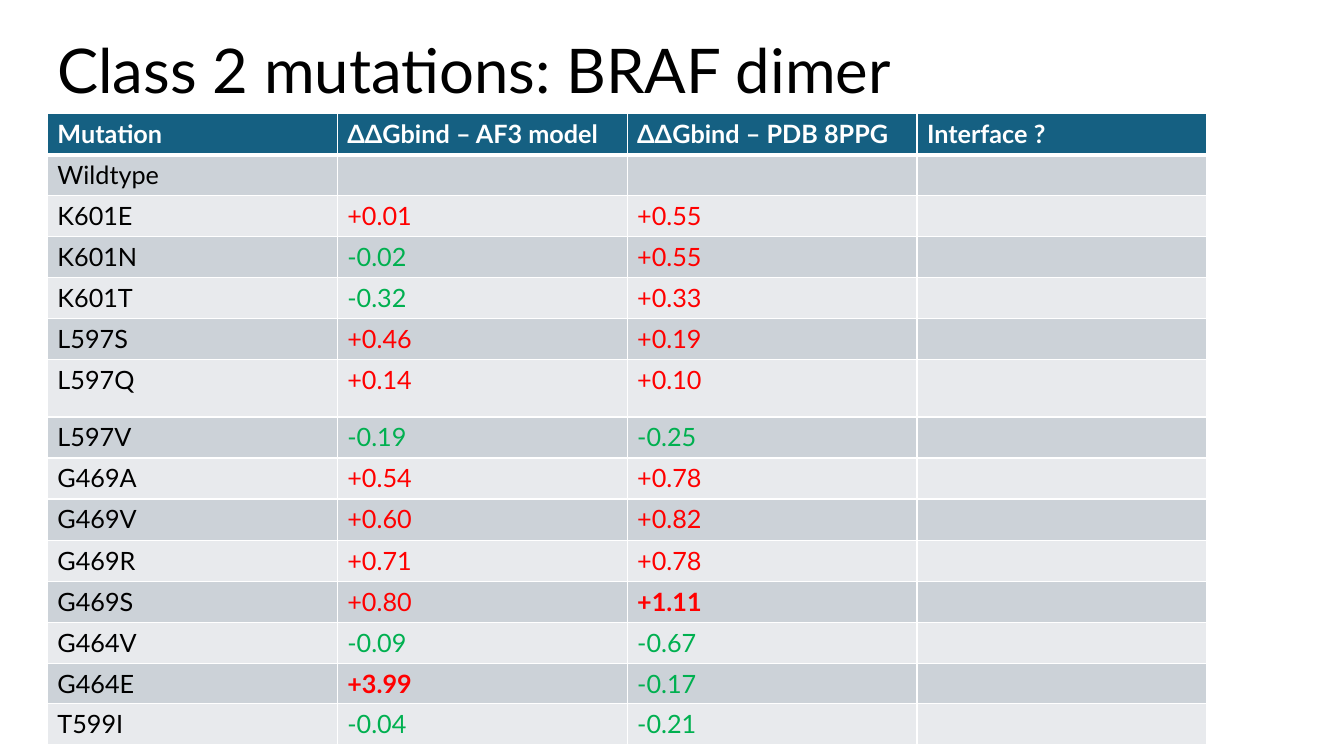
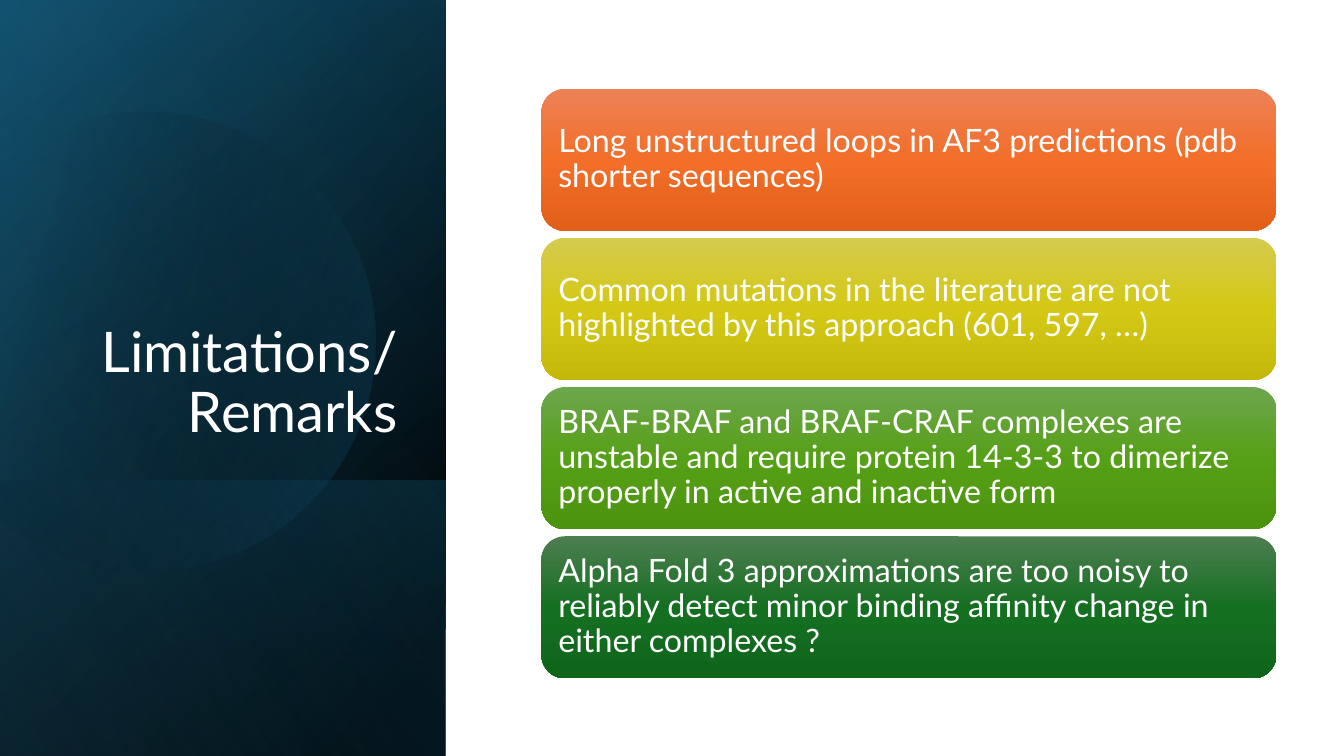
import math
from lxml import etree
from pptx import Presentation
from pptx.dml.color import RGBColor
from pptx.enum import shapes, text
from pptx.oxml import ns
from pptx.util import Inches, Pt

FONT = "Lato"
COLORS = {
    "white": "FFFFFF", "black": "000000", "header": "156082",
    "odd": "CCD2D8", "even": "E8EAED", "rise": "FF0000", "drop": "00B050",
    "navy": "104862", "sky": "46B1E1",
}

TABLE_TITLE = "Class 2 mutations: BRAF dimer"
HEADER = ("Mutation", "ΔΔGbind – AF3 model", "ΔΔGbind – PDB 8PPG", "Interface ?")
MUTATIONS = [
    ("Wildtype", "", "", ""),
    ("K601E", "+0.01", "+0.55", ""),
    ("K601N", "-0.02", "+0.55", ""),
    ("K601T", "-0.32", "+0.33", ""),
    ("L597S", "+0.46", "+0.19", ""),
    ("L597Q", "+0.14", "+0.10", ""),
    ("L597V", "-0.19", "-0.25", ""),
    ("G469A", "+0.54", "+0.78", ""),
    ("G469V", "+0.60", "+0.82", ""),
    ("G469R", "+0.71", "+0.78", ""),
    ("G469S", "+0.80", "+1.11", ""),
    ("G464V", "-0.09", "-0.67", ""),
    ("G464E", "+3.99", "-0.17", ""),
    ("T599I", "-0.04", "-0.21", ""),
]
TABLE_BOX = (0.47, 1.13, 11.5, 6.25)
SPECIAL_ROWS = {6: 0.57, 9: 0.41, 13: 0.39}

REMARKS_TITLE = "Limitations/ Remarks"
REMARKS = [
    ("Long unstructured loops in AF3 predictions (pdb shorter sequences)",
     ("ED8257", "F26E29", "E25F1A")),
    ("Common mutations in the literature are not highlighted by this approach (601, 597, …)",
     ("D5CB4E", "D4C815", "C4B90B")),
    ("BRAF-BRAF and BRAF-CRAF complexes are unstable and require protein 14-3-3 "
     "to dimerize properly in active and inactive form",
     ("6DA64E", "56A017", "4C930F")),
    ("Alpha Fold 3 approximations are too noisy to reliably detect minor binding "
     "affinity change in either complexes ?",
     ("4D7E50", "156F21", "0F661B")),
]
CARD_BOX = (5.37, 0.88, 7.29, 1.41)
CARD_PITCH = 1.48

PANEL_BOX = (-1.54, 1.54, 7.5, 4.42)
FOOT_BOX = (0.84, 3.93, 2.74, 4.42)
LOWER_PANELS = [
    (PANEL_BOX, 50, [(8, "black", 100), (100, "navy", 100)]),
    (PANEL_BOX, 30, [(0, "black", 0), (99, "header", 46)]),
    (FOOT_BOX, 130, [(2, "header", 29), (100, "black", 30)]),
]
DISC = {"x": 1.44, "y": 3.35, "radius": 2.28, "turn": 343.9}
DISC_ANGLES = (-118, -90, 0, 90, 150)
DISC_STOPS = [(29, "black", 0), (100, "header", 43)]
TOP_PANEL = (PANEL_BOX, 120, [(0, "black", 0), (99, "sky", 11)])


def inches(box):
    return [Inches(v) for v in box]


def rgb(name):
    return RGBColor.from_string(COLORS[name])


def write(tf, words, size, color, bold=False, align=text.PP_ALIGN.LEFT, spacing=None):
    p = tf.paragraphs[0]
    p.alignment = align
    p.line_spacing = spacing
    r = p.add_run()
    r.text = words
    for key, value in {"name": FONT, "size": Pt(size), "bold": bold}.items():
        setattr(r.font, key, value)
    r.font.color.rgb = rgb(color)


def add_title(s, words, box, size, color, anchor, align):
    tf = s.shapes.add_textbox(*inches(box)).text_frame
    tf.word_wrap = True
    tf.vertical_anchor = anchor
    write(tf, words, size, color, align=align, spacing=0.9)


def shade(sp, stops, angle):
    sp.shadow.inherit = False
    sp.line.fill.background()
    sp.fill.gradient()
    grad = sp._element.spPr.find(ns.qn("a:gradFill"))
    stop_list = grad.find(ns.qn("a:gsLst"))
    for old in list(stop_list):
        stop_list.remove(old)
    for place, color, opacity in stops:
        gs = etree.SubElement(stop_list, ns.qn("a:gs"), pos=str(place * 1000))
        clr = etree.SubElement(gs, ns.qn("a:srgbClr"), val=COLORS.get(color, color))
        if opacity < 100:
            etree.SubElement(clr, ns.qn("a:alpha"), val=str(opacity * 1000))
    grad.find(ns.qn("a:lin")).set("ang", str(angle * 60000))


def add_panel(s, box, angle, stops):
    sp = s.shapes.add_shape(shapes.MSO_SHAPE.RECTANGLE, *inches(box))
    sp.rotation = 90
    sp._element.spPr.find(ns.qn("a:xfrm")).set("flipH", "1")
    shade(sp, stops, angle)


def add_disc(s):
    points = [(Inches(DISC["x"] + DISC["radius"] * math.cos(math.radians(a))),
               Inches(DISC["y"] + DISC["radius"] * math.sin(math.radians(a))))
              for a in DISC_ANGLES]
    outline = s.shapes.build_freeform(*points[0])
    outline.add_line_segments(points[1:], close=True)
    sp = outline.convert_to_shape()
    sp.rotation = DISC["turn"]
    radius = str(Inches(DISC["radius"]))
    lines = list(sp._element.spPr.iter(ns.qn("a:lnTo")))
    for line, start, end in zip(lines, DISC_ANGLES, DISC_ANGLES[1:]):
        arc = etree.Element(ns.qn("a:arcTo"), wR=radius, hR=radius,
                            stAng=str(start % 360 * 60000), swAng=str((end - start) * 60000))
        line.getparent().replace(line, arc)
    shade(sp, DISC_STOPS, 30)


def set_borders(cell, widths):
    tc_pr = cell._tc.get_or_add_tcPr()
    for i, (side, width) in enumerate(widths.items()):
        ln = etree.Element(ns.qn("a:ln" + side), w=str(Pt(width)))
        fill = etree.SubElement(ln, ns.qn("a:solidFill"))
        etree.SubElement(fill, ns.qn("a:srgbClr"), val=COLORS["white"])
        tc_pr.insert(i, ln)


def cell_style(row, words):
    if row == 0:
        return "white", True
    if words[:1] in ("+", "-"):
        return ("rise" if words[0] == "+" else "drop"), abs(float(words)) > 1
    return "black", False


def build_mutations(prs):
    s = prs.slides.add_slide(prs.slide_layouts[6])
    add_title(s, TABLE_TITLE, (0.47, 0, 11.5, 1.45), 44, "black",
              text.MSO_ANCHOR.MIDDLE, text.PP_ALIGN.LEFT)
    rows = [HEADER] + MUTATIONS
    table = s.shapes.add_table(len(rows), len(HEADER), *inches(TABLE_BOX)).table
    table.horz_banding = False
    plain = (TABLE_BOX[3] - sum(SPECIAL_ROWS.values())) / (len(rows) - len(SPECIAL_ROWS))
    for i, row in enumerate(rows):
        table.rows[i].height = Inches(SPECIAL_ROWS.get(i, plain))
        band = "header" if i == 0 else ("odd" if i % 2 else "even")
        for j, words in enumerate(row):
            cell = table.cell(i, j)
            cell.fill.solid()
            cell.fill.fore_color.rgb = rgb(band)
            set_borders(cell, {"L": 1, "R": 1, "T": 3 if i == 1 else 1, "B": 3 if i == 0 else 1})
            if words:
                color, bold = cell_style(i, words)
                write(cell.text_frame, words, 18, color, bold)


def build_remarks(prs):
    s = prs.slides.add_slide(prs.slide_layouts[6])
    for panel in LOWER_PANELS:
        add_panel(s, *panel)
    add_disc(s)
    add_panel(s, *TOP_PANEL)
    add_title(s, REMARKS_TITLE, (0.64, 1.84, 3.4, 2.62), 40, "white",
              text.MSO_ANCHOR.BOTTOM, text.PP_ALIGN.RIGHT)
    left, top, width, height = CARD_BOX
    for i, (words, tones) in enumerate(REMARKS):
        box = (left, top + i * CARD_PITCH, width, height)
        sp = s.shapes.add_shape(shapes.MSO_SHAPE.ROUNDED_RECTANGLE, *inches(box))
        shade(sp, [(place, tone, 100) for place, tone in zip((0, 50, 100), tones)], 90)
        tf = sp.text_frame
        tf.word_wrap = True
        tf.vertical_anchor = text.MSO_ANCHOR.MIDDLE
        for side in ("left", "top", "right", "bottom"):
            setattr(tf, "margin_" + side, Inches(0.1))
        write(tf, words, 23, "white", spacing=0.9)


def main():
    prs = Presentation()
    prs.slide_width, prs.slide_height = Inches(13.33), Inches(7.5)
    build_mutations(prs)
    build_remarks(prs)
    prs.save("out.pptx")


if __name__ == "__main__":
    main()
